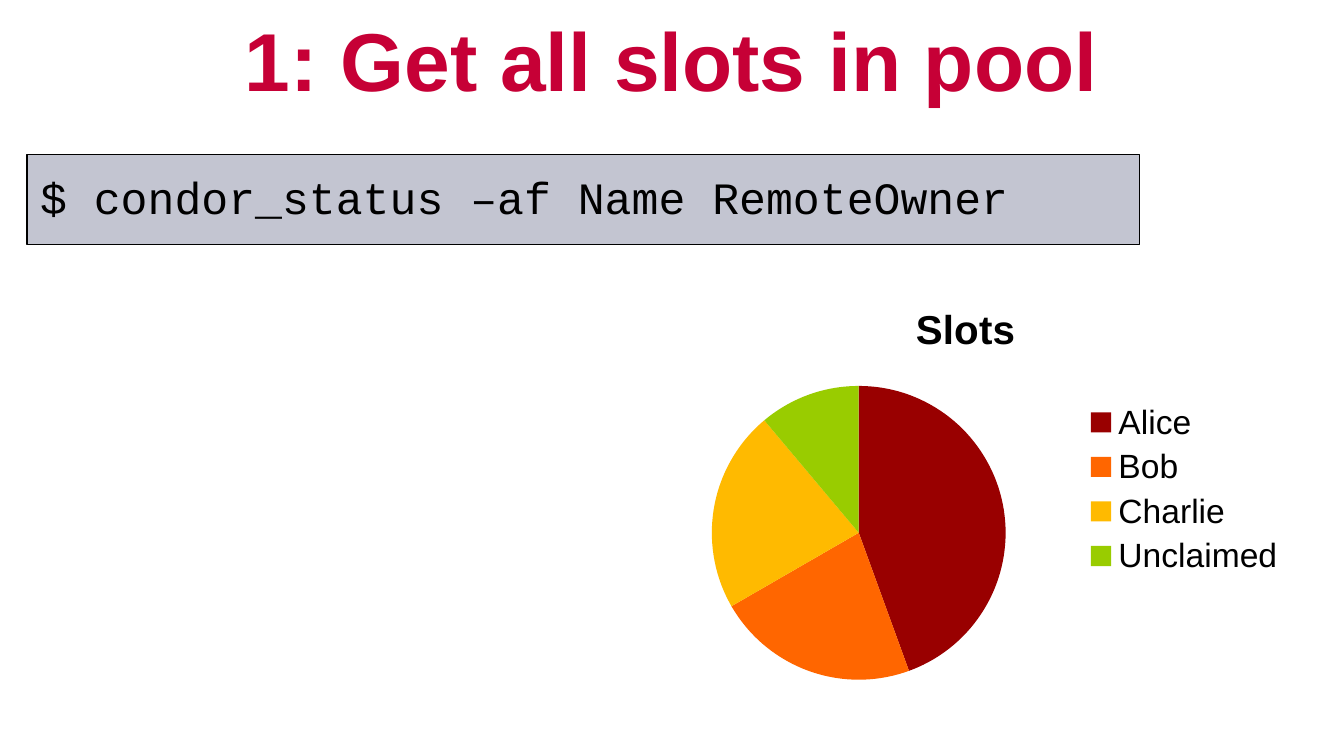
from pptx import Presentation
from pptx.chart.data import CategoryChartData
from pptx.dml.color import RGBColor
from pptx.enum.chart import XL_CHART_TYPE, XL_LEGEND_POSITION
from pptx.enum.shapes import MSO_SHAPE
from pptx.enum.text import MSO_ANCHOR, PP_ALIGN
from pptx.oxml import parse_xml
from pptx.oxml.ns import nsdecls
from pptx.util import Pt

COLORS = {"title": "C60036", "text": "000000", "code": "C3C5D1"}
SLOTS = {
    "Alice": (44, "990000"),
    "Bob": (22, "FF6600"),
    "Charlie": (22, "FFBA00"),
    "Unclaimed": (11, "99CC00"),
}


def set_font(font, name, size, color, bold=False):
    font.name, font.size, font.bold = name, Pt(size), bold
    font.color.rgb = RGBColor.from_string(COLORS[color])


prs = Presentation()
prs.slide_width, prs.slide_height = Pt(720), Pt(405)
s = prs.slides.add_slide(prs.slide_layouts[6])

# Title
title = s.shapes.add_textbox(Pt(0), Pt(0), Pt(720), Pt(54))
tf = title.text_frame
tf.word_wrap = True
tf.vertical_anchor = MSO_ANCHOR.TOP
tf.margin_top = Pt(5)
tf.text = "1: Get all slots in pool"
p = tf.paragraphs[0]
p.alignment = PP_ALIGN.CENTER
set_font(p.runs[0].font, "Arial", 44, "title", True)

# Command box
command = s.shapes.add_shape(MSO_SHAPE.RECTANGLE, Pt(14.4), Pt(82.8), Pt(596), Pt(48.2))
command.shadow.inherit = False
command.fill.solid()
command.fill.fore_color.rgb = RGBColor.from_string(COLORS["code"])
command.line.color.rgb = RGBColor.from_string(COLORS["text"])
command.line.width = Pt(0.75)
tf = command.text_frame
tf.word_wrap = True
tf.vertical_anchor = MSO_ANCHOR.TOP
tf.margin_top = Pt(8.4)
tf.text = "$ condor_status –af Name RemoteOwner"
p = tf.paragraphs[0]
p.alignment = PP_ALIGN.LEFT
set_font(p.runs[0].font, "Courier New", 24, "text")

# Pie chart of slots by owner
data = CategoryChartData()
data.categories = list(SLOTS)
data.add_series("Slots", [value for value, color in SLOTS.values()])
chart = s.shapes.add_chart(
    XL_CHART_TYPE.PIE, Pt(338.4), Pt(150.5), Pt(357.8), Pt(223.2), data
).chart
set_font(chart.font, "Arial", 18, "text")
chart.has_title = True
tf = chart.chart_title.text_frame
tf.text = "Slots"
set_font(tf.paragraphs[0].runs[0].font, "Arial", 21.6, "text", True)
chart.chart_title.include_in_layout = False
chart.has_legend = True
chart.legend.position = XL_LEGEND_POSITION.RIGHT
chart.legend.include_in_layout = False

plot = chart.plots[0]
plot.vary_by_categories = True
for i, (value, color) in enumerate(SLOTS.values()):
    fill = plot.series[0].points[i].format.fill
    fill.solid()
    fill.fore_color.rgb = RGBColor.from_string(color)

# Fixed plot position inside the chart, as fractions of its size
area = chart.element.find(".//{*}plotArea")
for old in area.findall("{*}layout"):
    area.remove(old)
place = {"x": 0.12, "y": 0.25, "w": 0.44, "h": 0.71}
area.insert(0, parse_xml(
    f'<c:layout {nsdecls("c")}><c:manualLayout><c:layoutTarget val="inner"/>'
    '<c:xMode val="edge"/><c:yMode val="edge"/>'
    + "".join(f'<c:{k} val="{v}"/>' for k, v in place.items())
    + "</c:manualLayout></c:layout>"
))

prs.save("out.pptx")
